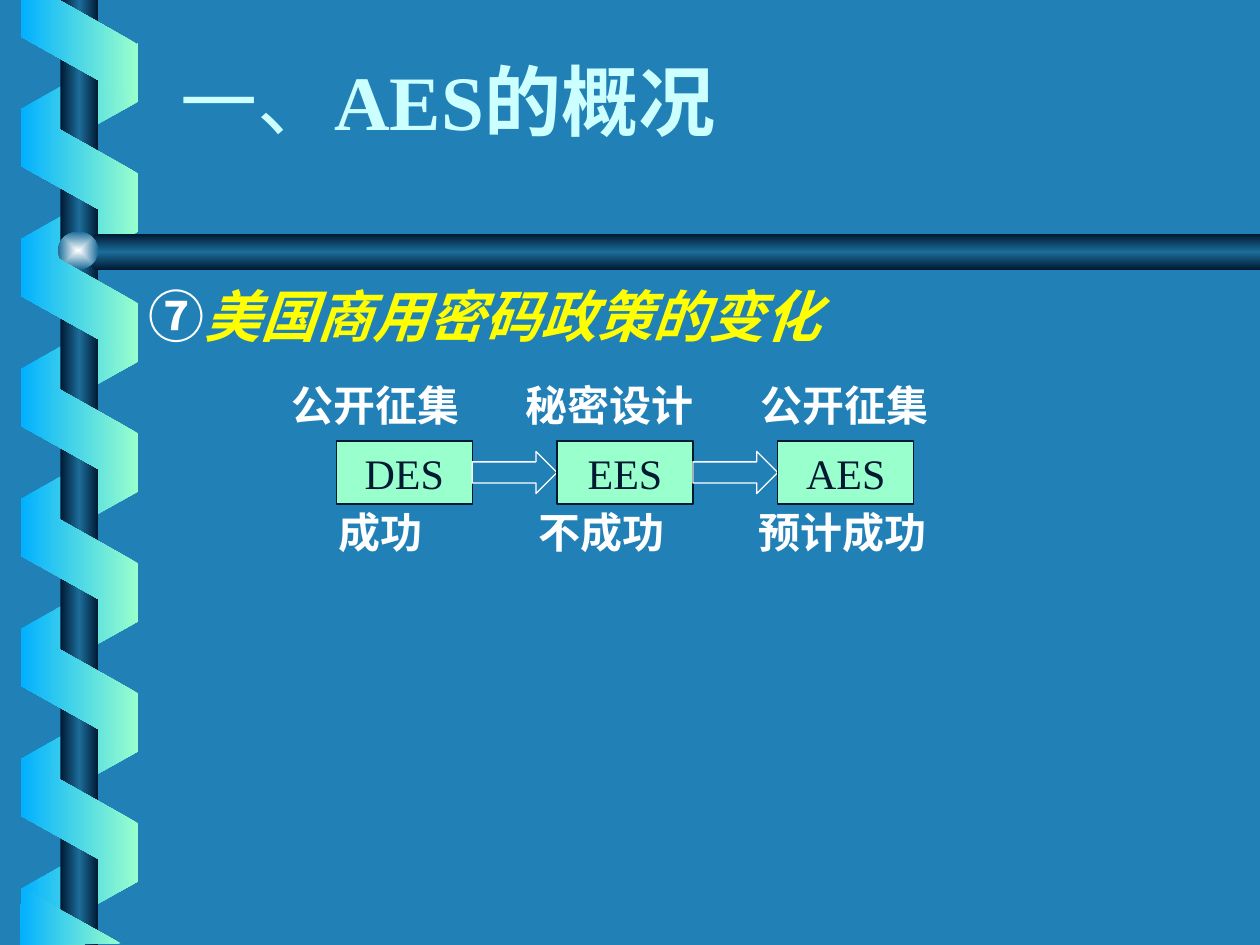
from dataclasses import dataclass

from pptx import Presentation
from pptx.dml.color import RGBColor
from pptx.enum.shapes import MSO_SHAPE
from pptx.enum.text import MSO_ANCHOR, PP_ALIGN
from pptx.oxml import parse_xml
from pptx.oxml.ns import nsdecls, qn
from pptx.util import Cm, Pt

BLUE = RGBColor(0x21, 0x81, 0xB7)
NAVY = RGBColor(0x00, 0x19, 0x32)
STEEL = RGBColor(0x1C, 0x6D, 0x9A)
SKY = RGBColor(0x01, 0xB0, 0xFF)
MINT = RGBColor(0x99, 0xFF, 0xCC)
PALE = RGBColor(0xCC, 0xFF, 0xFF)
PEARL = RGBColor(0xFE, 0xFF, 0xFF)
WHITE = RGBColor(0xFF, 0xFF, 0xFF)
YELLOW = RGBColor(0xFF, 0xFF, 0x00)
SERIF = "Times New Roman"

RIBBON = (MINT, SKY)
TUBE = (NAVY, STEEL, NAVY)
ACROSS = '<a:lin ang="10800000" scaled="0"/>'
DOWN = '<a:lin ang="5400000" scaled="0"/>'
CENTRE = '<a:path path="rect"><a:fillToRect l="50000" t="50000" r="50000" b="50000"/></a:path>'

PITCH = 2.62
STEP_LEFT, STEP_GAP, STEP_TOP = 6.78, 4.45, 8.89
STEP_W, STEP_H = 2.74, 1.27
ARROW_H = 0.85
LABEL_W, LABEL_H = 5, 1.5


@dataclass
class Step:
    name: str
    origin: str
    origin_x: float
    result: str
    result_x: float


STEPS = [
    Step("DES", "公开征集", 7.57, "成功", 7.67),
    Step("EES", "秘密设计", 12.29, "不成功", 12.12),
    Step("AES", "公开征集", 17.02, "预计成功", 16.99),
]


def add_text(p, text: str, *, size: float, color: RGBColor, font: str = SERIF,
             bold: bool = False, italic: bool = False) -> None:
    r = p.add_run()
    r.text = text
    f = r.font
    f.size, f.name, f.bold, f.italic = Pt(size), font, bold, italic
    f.color.rgb = color


def add_box(s, x: float, y: float, w: float, h: float, align=PP_ALIGN.LEFT):
    tf = s.shapes.add_textbox(Cm(x), Cm(y), Cm(w), Cm(h)).text_frame
    tf.word_wrap = True
    tf.vertical_anchor = MSO_ANCHOR.MIDDLE
    p = tf.paragraphs[0]
    p.alignment = align
    return p


def add_shape(s, kind: MSO_SHAPE, x: float, y: float, w: float, h: float):
    sp = s.shapes.add_shape(kind, Cm(x), Cm(y), Cm(w), Cm(h))
    sp.shadow.inherit = False
    return sp


def add_outline(s, points: list[tuple[float, float]]):
    (x, y), *rest = [(Cm(a), Cm(b)) for a, b in points]
    fb = s.shapes.build_freeform(x, y)
    fb.add_line_segments(rest, close=True)
    sp = fb.convert_to_shape()
    sp.shadow.inherit = False
    return sp


def shade(sp, colors: tuple[RGBColor, ...], direction: str) -> None:
    sp.line.fill.background()
    sp.fill.gradient()
    stops = "".join(
        f'<a:gs pos="{100000 * i // (len(colors) - 1)}"><a:srgbClr val="{c}"/></a:gs>'
        for i, c in enumerate(colors))
    grad = parse_xml(f'<a:gradFill rotWithShape="0" {nsdecls("a")}>'
                     f'<a:gsLst>{stops}</a:gsLst>{direction}</a:gradFill>')
    spPr = sp._element.spPr
    spPr.replace(spPr.find(qn("a:gradFill")), grad)


def add_coils(s, count: int, top: float, rotation: int, colors: tuple[RGBColor, ...],
              flip: bool = False) -> None:
    for i in range(count):
        sp = add_shape(s, MSO_SHAPE.PARALLELOGRAM, 0.36, top + i * PITCH, 2.49, 2.36)
        sp.adjustments[0] = 0.56
        sp.rotation = rotation
        if flip:
            sp._element.spPr.xfrm.set("flipH", "1")
        shade(sp, colors, ACROSS)


def add_binding(s) -> None:
    add_coils(s, 7, 0.94, 90, RIBBON[::-1], flip=True)
    shade(add_shape(s, MSO_SHAPE.RECTANGLE, 1.22, 0, 0.76, 19.05), TUBE, ACROSS)
    bar = [(25.4, 4.72), (1.93, 4.72), (1.52, 5.08), (1.93, 5.44), (25.4, 5.44)]
    shade(add_outline(s, bar), TUBE, DOWN)
    shade(add_shape(s, MSO_SHAPE.OVAL, 1.17, 4.67, 0.81, 0.76), (PEARL, STEEL), CENTRE)
    add_coils(s, 6, 2.24, 270, RIBBON)
    top_end = [(0.43, 0), (0.43, 0.74), (2.77, 2.06), (2.77, 0.89), (1.19, 0)]
    bottom_end = [(2.44, 19.02), (0.43, 17.91), (0.41, 19.05)]
    for points in (top_end, bottom_end):
        shade(add_outline(s, points), RIBBON, ACROSS)


def add_label(s, text: str, center: float, top: float) -> None:
    p = add_box(s, center - LABEL_W / 2, top, LABEL_W, LABEL_H, PP_ALIGN.CENTER)
    add_text(p, text, size=24, color=WHITE, bold=True)


def add_step(s, step: Step, x: float) -> None:
    add_label(s, step.origin, step.origin_x, 7.4)
    add_label(s, step.result, step.result_x, 9.97)
    sp = add_shape(s, MSO_SHAPE.RECTANGLE, x, STEP_TOP, STEP_W, STEP_H)
    sp.fill.solid()
    sp.fill.fore_color.rgb = MINT
    sp.line.color.rgb = NAVY
    sp.line.width = Pt(0.75)
    p = sp.text_frame.paragraphs[0]
    p.alignment = PP_ALIGN.CENTER
    add_text(p, step.name, size=24, color=NAVY)


def add_arrow(s, x: float) -> None:
    y = STEP_TOP + (STEP_H - ARROW_H) / 2
    sp = add_shape(s, MSO_SHAPE.RIGHT_ARROW, x, y, STEP_GAP - STEP_W, ARROW_H)
    sp.fill.background()
    sp.line.color.rgb = WHITE
    sp.line.width = Pt(0.75)


def main() -> None:
    prs = Presentation()
    prs.slide_width, prs.slide_height = Cm(25.4), Cm(19.05)
    s = prs.slides.add_slide(prs.slide_layouts[5])
    s.background.fill.solid()
    s.background.fill.fore_color.rgb = BLUE
    add_binding(s)

    title = s.shapes.title
    title.left, title.top, title.width, title.height = Cm(3.38), Cm(1.17), Cm(18.21), Cm(1.9)
    tf = title.text_frame
    tf.vertical_anchor = MSO_ANCHOR.BOTTOM
    p = tf.paragraphs[0]
    p.alignment = PP_ALIGN.LEFT
    add_text(p, "一、", size=44, color=PALE, font="Arial Narrow")
    add_text(p, "AES的概况", size=44, color=PALE, bold=True)

    p = add_box(s, 2.74, 5.51, 21.79, 1.7)
    add_text(p, "⑦", size=32, color=WHITE, bold=True)
    add_text(p, "美国商用密码政策的变化", size=32, color=YELLOW, bold=True, italic=True)

    for i, step in enumerate(STEPS):
        x = STEP_LEFT + i * STEP_GAP
        add_step(s, step, x)
        if i < len(STEPS) - 1:
            add_arrow(s, x + STEP_W)

    prs.save("out.pptx")


if __name__ == "__main__":
    main()
